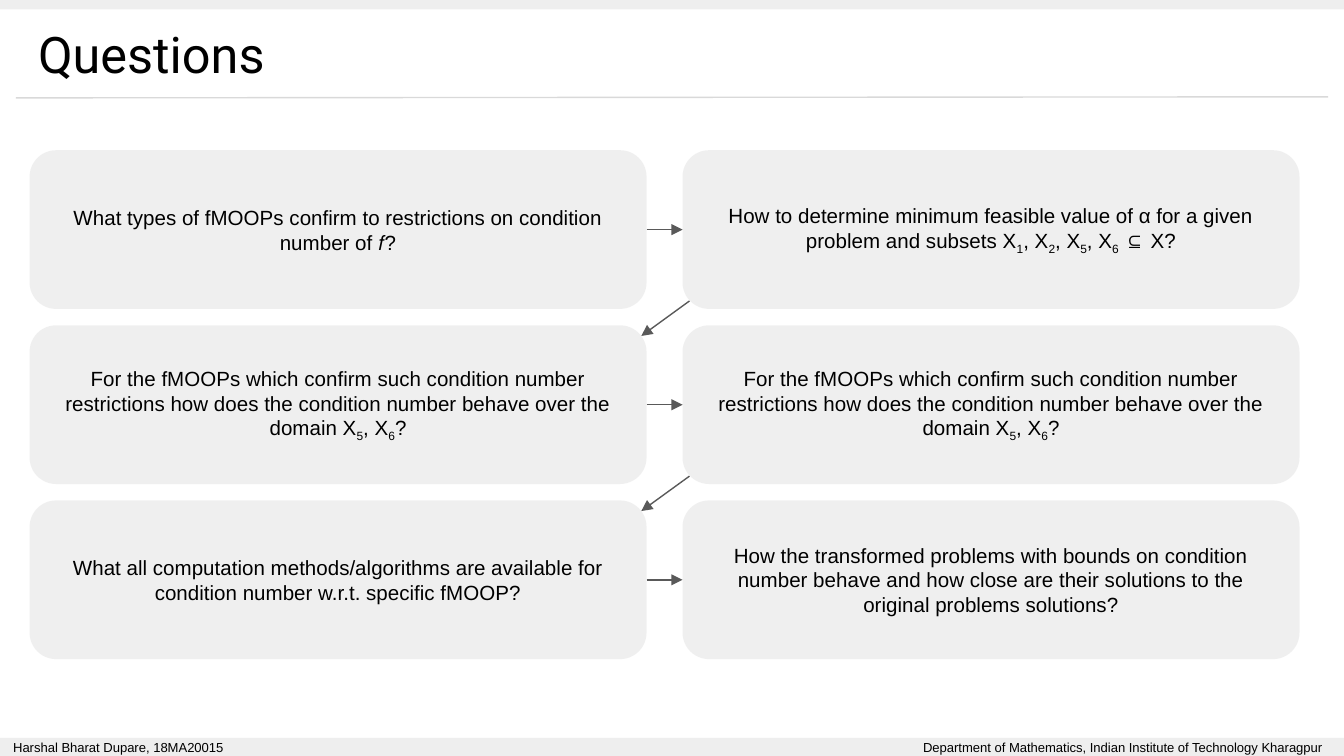
from lxml import etree
from pptx import Presentation
from pptx.dml.color import RGBColor
from pptx.enum.shapes import MSO_CONNECTOR, MSO_SHAPE
from pptx.enum.text import MSO_ANCHOR, PP_ALIGN
from pptx.oxml.ns import qn
from pptx.util import Cm, Pt

RECT, ROUNDED = MSO_SHAPE.RECTANGLE, MSO_SHAPE.ROUNDED_RECTANGLE
STRAIGHT = MSO_CONNECTOR.STRAIGHT
LEFT, CENTER = PP_ALIGN.LEFT, PP_ALIGN.CENTER
TOP, MIDDLE = MSO_ANCHOR.TOP, MSO_ANCHOR.MIDDLE
LEFT_SIDE, RIGHT_SIDE = 1, 3

SLIDE_W, SLIDE_H = 25.4, 14.29
BOX_LEFT, BOX_TOP, BOX_W, BOX_H = 0.56, 2.84, 11.66, 3.0
COLUMN_STEP, ROW_STEP = 12.34, 3.31

BEHAVIOUR = ("For the fMOOPs which confirm such condition number restrictions "
             "how does the condition number behave over the domain X_5, X_6?")
# One row per pair of questions; an underscore lowers the next character
QUESTIONS = [
    ("What types of fMOOPs confirm to restrictions on condition number of 𝑓?",
     "How to determine minimum feasible value of α for a given problem "
     "and subsets X_1, X_2, X_5, X_6 ⊆ X?"),
    (BEHAVIOUR, BEHAVIOUR),
    ("What all computation methods/algorithms are available for condition "
     "number w.r.t. specific fMOOP?",
     "How the transformed problems with bounds on condition number behave and "
     "how close are their solutions to the original problems solutions?"),
]


def color(hex_code):
    return RGBColor.from_string(hex_code)


def write(shape, text, size=11, font="Arial", align=CENTER, anchor=MIDDLE,
          insets=(0.25, 0.25), right_tab=None):
    frame = shape.text_frame
    frame.word_wrap = True
    frame.vertical_anchor = anchor
    frame.margin_left = frame.margin_right = Cm(insets[0])
    frame.margin_top = frame.margin_bottom = Cm(insets[1])
    paragraph = frame.paragraphs[0]
    paragraph.alignment = align
    if right_tab:
        tabs = etree.SubElement(paragraph._p.get_or_add_pPr(), qn("a:tabLst"))
        etree.SubElement(tabs, qn("a:tab"), pos=str(Cm(right_tab)), algn="r")

    def add_run(content, lowered=False):
        run = paragraph.add_run()
        run.text = content
        run.font.size = Pt(size)
        run.font.name = font
        run.font.color.rgb = color("000000")
        if lowered:
            run._r.get_or_add_rPr().set("baseline", "-25000")

    first, *rest = text.split("_")
    add_run(first)
    for part in rest:
        add_run(part[0], lowered=True)
        add_run(part[1:])


class Page:
    bar_fill = "EEEEEE"
    box_fill = "ECECEC"
    arrow_color = "595959"
    rule_color = "D9D9D9"

    def __init__(self, slide):
        self.shapes = slide.shapes

    def block(self, kind, left, top, width, height, fill):
        block = self.shapes.add_shape(kind, Cm(left), Cm(top), Cm(width), Cm(height))
        block.shadow.inherit = False
        block.fill.solid()
        block.fill.fore_color.rgb = color(fill)
        block.line.fill.background()
        return block

    def bar(self, top, height):
        return self.block(RECT, 0, top, SLIDE_W, height, self.bar_fill)

    def title(self, text):
        title = self.shapes.add_textbox(0, Cm(0.18), Cm(SLIDE_W), Cm(1.65))
        write(title, text, size=27, font="Roboto", align=LEFT, anchor=TOP,
              insets=(0.72, 0.25))

    def question(self, left, top, text):
        box = self.block(ROUNDED, left, top, BOX_W, BOX_H, self.box_fill)
        box.adjustments[0] = 0.167
        fill = box._element.spPr.find(qn("a:solidFill"))
        etree.SubElement(fill[0], qn("a:alpha"), val="80000")
        write(box, text)
        return box

    def line(self, x1, y1, x2, y2, line_color):
        line = self.shapes.add_connector(STRAIGHT, Cm(x1), Cm(y1), Cm(x2), Cm(y2))
        line.line.color.rgb = color(line_color)
        line.line.width = Pt(0.75)
        etree.SubElement(line._element.spPr, qn("a:effectLst"))
        return line

    def rule(self, x1, y1, x2, y2):
        self.line(x1, y1, x2, y2, self.rule_color)

    def arrow(self, x1, y1, x2, y2):
        arrow = self.line(x1, y1, x2, y2, self.arrow_color)
        outline = arrow._element.spPr.find(qn("a:ln"))
        etree.SubElement(outline, qn("a:tailEnd"), type="triangle")
        return arrow


def main():
    deck = Presentation()
    deck.slide_width, deck.slide_height = Cm(SLIDE_W), Cm(SLIDE_H)
    page = Page(deck.slides.add_slide(deck.slide_layouts[6]))

    # Title, rule and edge bars
    page.rule(0.3, 1.85, 25.1, 1.83)
    page.title("Questions")
    footer = page.bar(13.95, 0.34)
    write(footer, "Harshal Bharat Dupare, 18MA20015\tDepartment of Mathematics, "
          "Indian Institute of Technology Kharagpur",
          size=7, align=LEFT, insets=(0.25, 0.08), right_tab=24.74)
    page.bar(0, 0.18)

    # Question grid
    columns = (BOX_LEFT, BOX_LEFT + COLUMN_STEP)
    rows = [BOX_TOP + i * ROW_STEP for i in range(len(QUESTIONS))]
    pairs = [[page.question(left, top, text) for left, text in zip(columns, texts)]
             for top, texts in zip(rows, QUESTIONS)]

    # Arrows across each row
    left_edge, right_edge = columns[0] + BOX_W, columns[1]
    for top, (first, second) in zip(rows, pairs):
        middle = top + BOX_H / 2
        across = page.arrow(left_edge, middle, right_edge, middle)
        across.begin_connect(first, RIGHT_SIDE)
        across.end_connect(second, LEFT_SIDE)

    # Arrows between rounded corners, down to the next row
    for top, next_top in zip(rows, rows[1:]):
        page.arrow(right_edge + 0.13, top + BOX_H - 0.15,
                   left_edge - 0.1, next_top + 0.2)

    deck.save("out.pptx")


if __name__ == "__main__":
    main()
